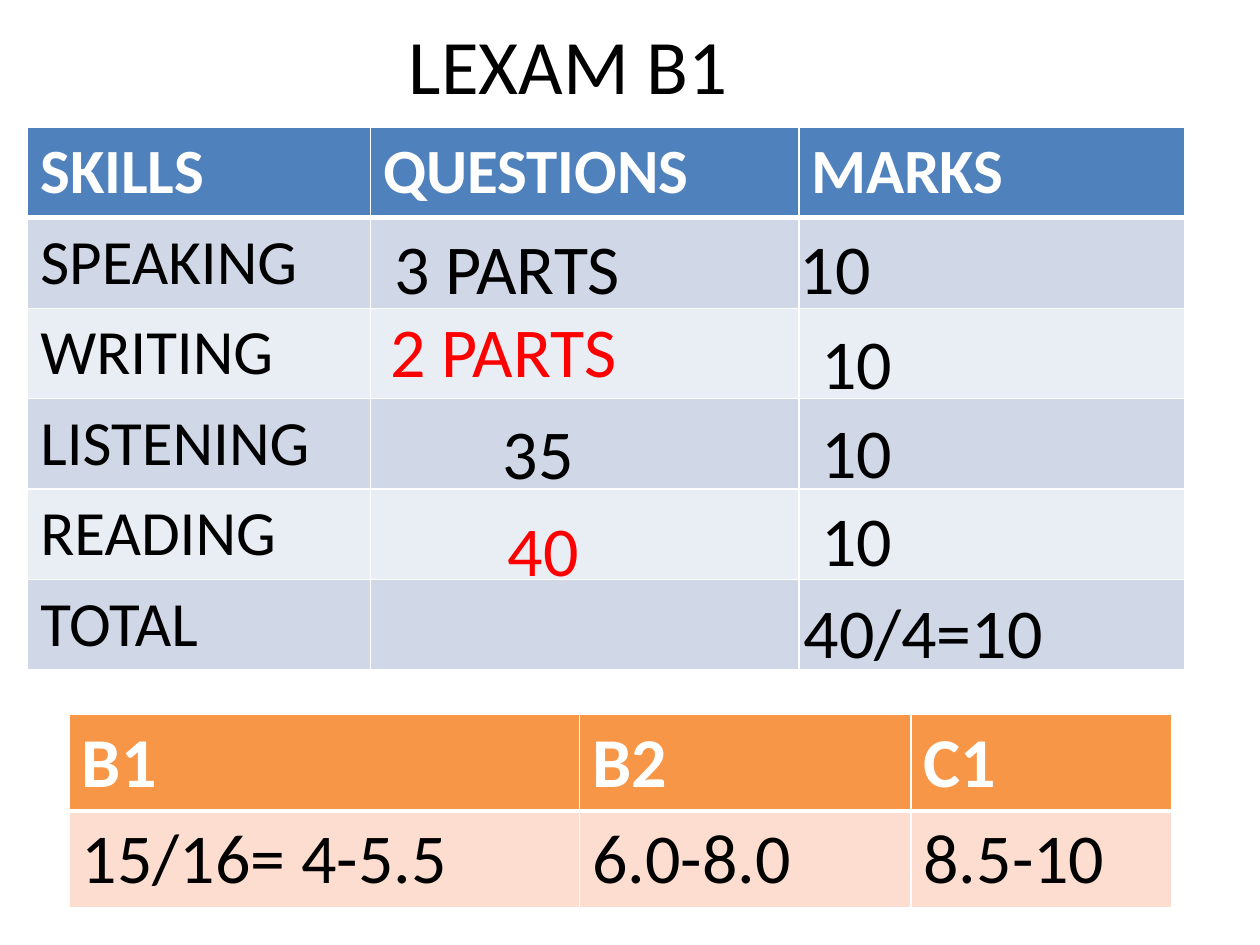
from dataclasses import dataclass

from lxml.etree import SubElement
from pptx import Presentation
from pptx.dml.color import RGBColor as Color
from pptx.enum.text import MSO_ANCHOR as Anchor, PP_ALIGN as Align
from pptx.oxml.ns import qn
from pptx.util import Inches, Pt


@dataclass(frozen=True)
class Theme:
    font: str = "Calibri"
    title_size: int = 44
    large_size: int = 40
    table_size: int = 36
    black: str = "000000"
    white: str = "FFFFFF"
    red: str = "FF0000"
    blue: str = "4F81BD"
    blue_bands: tuple = ("D0D8E8", "E9EDF4")
    orange: str = "F79646"
    orange_bands: tuple = ("FCDDCF",)


THEME = Theme()
WIDTH, HEIGHT = Inches(10), Inches(7.5)
ANSWER_WIDTH, ANSWER_HEIGHT = 29.2, 10.27


def across(percent):
    return round(WIDTH * percent / 100)


def down(percent):
    return round(HEIGHT * percent / 100)


def write(frame, text, size=THEME.large_size, color=THEME.black, bold=False,
          align=Align.LEFT):
    paragraph = frame.paragraphs[0]
    paragraph.alignment = align
    run = paragraph.add_run()
    run.text = text
    run.font.name = THEME.font
    run.font.size = Pt(size)
    run.font.bold = bold
    run.font.color.rgb = Color.from_string(color)


def add_text(slide, text, left, top, width=ANSWER_WIDTH, height=ANSWER_HEIGHT,
             indent=0, anchor=Anchor.TOP, **text_format):
    box = slide.shapes.add_textbox(across(left), down(top), across(width), down(height))
    frame = box.text_frame
    frame.word_wrap = True
    frame.vertical_anchor = anchor
    frame.margin_left += across(indent)
    write(frame, text, **text_format)


def set_borders(cell, top, bottom):
    properties = cell._tc.get_or_add_tcPr()
    for side, points in (("L", 1), ("R", 1), ("T", top), ("B", bottom)):
        line = SubElement(properties, qn(f"a:ln{side}"), w=str(Pt(points)))
        fill = SubElement(line, qn("a:solidFill"))
        SubElement(fill, qn("a:srgbClr"), val=THEME.white)


def add_table(slide, rows, left, top, column_widths, height, header_fill, bands, size):
    shape = slide.shapes.add_table(len(rows), len(column_widths), across(left), down(top),
                                   across(sum(column_widths)), down(height))
    table = shape.table
    for column, width in zip(table.columns, column_widths):
        column.width = across(width)
    for row_index, texts in enumerate(rows):
        table.rows[row_index].height = down(height / len(rows))
        header = row_index == 0
        fill = header_fill if header else bands[(row_index - 1) % len(bands)]
        for column_index, text in enumerate(texts):
            cell = table.cell(row_index, column_index)
            set_borders(cell, top=3 if row_index == 1 else 1, bottom=3 if header else 1)
            cell.fill.solid()
            cell.fill.fore_color.rgb = Color.from_string(fill)
            if text:
                write(cell.text_frame, text, size=size, bold=header,
                      color=THEME.white if header else THEME.black)


def add_skills(slide):
    skills = ("SPEAKING", "WRITING", "LISTENING", "READING", "TOTAL")
    rows = [("SKILLS", "QUESTIONS", "MARKS")] + [(skill, "", "") for skill in skills]
    add_table(slide, rows, 2.2, 13.47, (27.2, 34, 30.6), 57.47,
              THEME.blue, THEME.blue_bands, THEME.table_size)


def add_answers(slide):
    questions = (
        ("3 PARTS", 30.3, 23.07, 0, THEME.black),
        ("2 PARTS", 30, 31.87, 0, THEME.red),
        ("35", 30.1, 42.67, 8.8, THEME.black),
        ("40", 30.5, 52.93, 8.8, THEME.red),
    )
    for text, left, top, indent, color in questions:
        add_text(slide, text, left, top, indent=indent, color=color)
    marks = (("10", 62.5, 23.07), ("10", 64.2, 33.2), ("10", 64.2, 42.53),
             ("10", 64.2, 51.87), ("40/4=10", 62.8, 61.6))
    for text, left, top in marks:
        add_text(slide, text, left, top)


def add_levels(slide):
    rows = [("B1", "B2", "C1"), ("15/16= 4-5.5", "6.0-8.0", "8.5-10")]
    add_table(slide, rows, 5.5, 75.6, (40.5, 26.3, 20.7), 20.4,
              THEME.orange, THEME.orange_bands, THEME.large_size)


def main():
    presentation = Presentation()
    presentation.slide_width, presentation.slide_height = WIDTH, HEIGHT
    slide = presentation.slides.add_slide(presentation.slide_layouts[6])
    add_text(slide, "LEXAM B1", 0.1, 0.13, 90, 13.2, anchor=Anchor.MIDDLE,
             size=THEME.title_size, align=Align.CENTER)
    add_skills(slide)
    add_answers(slide)
    add_levels(slide)
    presentation.save("out.pptx")


if __name__ == "__main__":
    main()
